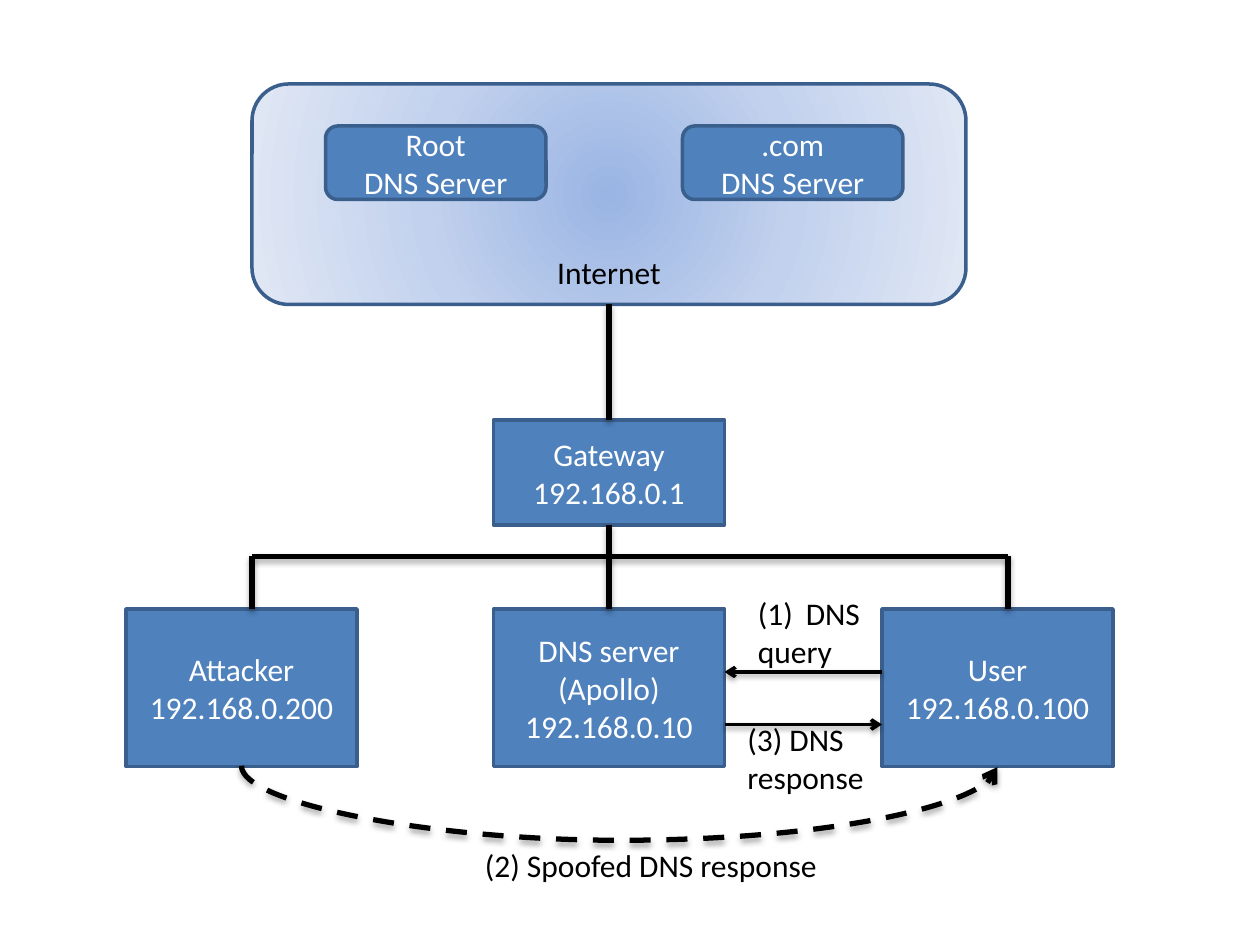
import pptx
import pptx.dml.color
import pptx.enum.dml
import pptx.enum.shapes
import pptx.enum.text
import pptx.oxml
import pptx.oxml.ns
import pptx.util
from lxml import etree

# Content: positions count cells of a 120 x 90 grid (12 cells per inch)
CELL = pptx.util.Inches(1) / 12
BLUE, EDGE, BLACK, WHITE = "4F81BD", "3A5F8C", "000000", "FFFFFF"
INTERNET = (24, 8, 68, 21)
GRADIENT = [(0, "9AB5E4"), (50, "C2D1ED"), (100, "E1E8F5")]
SERVER_ROW, SERVER_SIZE = 12, (21, 7)
SERVERS = [(31, ["Root", "DNS Server"]), (65, [".com", "DNS Server"])]
GATEWAY = (47, 40, 22, 10)
HOST_ROW, HOST_SIZE = 58, (22, 15)
HOSTS = {
    "attacker": (12, ["Attacker", "192.168.0.200"]),
    "dns": (47, ["DNS server (Apollo)", "192.168.0.10"]),
    "user": (84, ["User", "192.168.0.100"]),
}
BUS_ROW, BUS_LEFT, BUS_RIGHT, TRUNK = 53, 24, 96, 58
QUERY_ROW, RESPONSE_ROW = 64, 69
LABELS = [  # column, row, width, height, wraps, lines
    (71, 56, 12.25, 8.5, False, ["DNS", "query"]),
    (70, 68, 13.5, 8.5, False, ["(3) DNS", "response"]),
    (45, 80, 41, 4.8, True, ["(2) Spoofed DNS response"]),
]
CURVE_DROP = 0.6  # inches below the hosts

presentation = pptx.Presentation()
presentation.slide_width = pptx.util.Inches(10)
presentation.slide_height = pptx.util.Inches(7.5)
slide = presentation.slides.add_slide(presentation.slide_layouts[6])
shapes = slide.shapes
qn = pptx.oxml.ns.qn


def grid(*cells):
    return [round(cell * CELL) for cell in cells]


def color(hex_value):
    return pptx.dml.color.RGBColor.from_string(hex_value)


def xml(content):
    """Parse one drawing element, given without its namespace declaration."""
    name, rest = content[1:].split(" ", 1)
    return pptx.oxml.parse_xml(f"<{name} {pptx.oxml.ns.nsdecls('a')} {rest}")


def write(frame, lines, hex_value, centered):
    for index, line in enumerate(lines):
        paragraph = frame.paragraphs[0] if index == 0 else frame.add_paragraph()
        if centered:
            paragraph.alignment = pptx.enum.text.PP_ALIGN.CENTER
        run = paragraph.add_run()
        run.text = line
        run.font.size = pptx.util.Pt(18)
        run.font.name = "Calibri"
        run.font.color.rgb = color(hex_value)


def add_box(kind, area, lines, text_color=WHITE):
    shape = shapes.add_shape(kind, *grid(*area))
    shape.shadow.inherit = False
    shape.fill.solid()
    shape.fill.fore_color.rgb = color(BLUE)
    shape.line.color.rgb = color(EDGE)
    shape.line.width = pptx.util.Pt(2)
    shape.text_frame.word_wrap = True
    shape.text_frame.vertical_anchor = pptx.enum.text.MSO_ANCHOR.MIDDLE
    write(shape.text_frame, lines, text_color, True)
    return shape


def add_line(start, end, width=3, arrow=False, kind="STRAIGHT"):
    connector = shapes.add_connector(
        pptx.enum.shapes.MSO_CONNECTOR[kind], *grid(*start, *end))
    connector.line.color.rgb = color(BLACK)
    connector.line.width = pptx.util.Pt(width)
    properties = connector._element.spPr
    if kind == "CURVE":
        connector.line.dash_style = pptx.enum.dml.MSO_LINE.DASH
    if arrow:
        etree.SubElement(properties.find(qn("a:ln")), qn("a:tailEnd"), type="arrow")
    properties.append(xml(
        '<a:effectLst ><a:outerShdw blurRad="40000" dist="23000" dir="5400000" '
        'rotWithShape="0"><a:srgbClr val="000000"><a:alpha val="35000"/>'
        '</a:srgbClr></a:outerShdw></a:effectLst>'))
    return connector


# Internet cloud with its radial gradient
rounded = pptx.enum.shapes.MSO_SHAPE.ROUNDED_RECTANGLE
rectangle = pptx.enum.shapes.MSO_SHAPE.RECTANGLE
internet = add_box(rounded, INTERNET, ["Internet"], BLACK)
internet.text_frame.vertical_anchor = pptx.enum.text.MSO_ANCHOR.BOTTOM
internet.text_frame.margin_bottom = pptx.util.Inches(0.02)
stops = "".join(f'<a:gs pos="{position * 1000}"><a:srgbClr val="{value}"/></a:gs>'
                for position, value in GRADIENT)
internet_properties = internet._element.spPr
internet_properties.replace(internet_properties.find(qn("a:solidFill")), xml(
    f'<a:gradFill rotWithShape="1"><a:gsLst>{stops}</a:gsLst><a:path path="circle">'
    '<a:fillToRect l="50000" t="50000" r="50000" b="50000"/></a:path></a:gradFill>'))

# Servers, gateway and hosts
for column, lines in SERVERS:
    add_box(rounded, (column, SERVER_ROW, *SERVER_SIZE), lines)
gateway = add_box(rectangle, GATEWAY, ["Gateway", "192.168.0.1"])
hosts = {name: add_box(rectangle, (column, HOST_ROW, *HOST_SIZE), lines)
         for name, (column, lines) in HOSTS.items()}

# Network wiring
add_line((BUS_LEFT, BUS_ROW), (BUS_RIGHT, BUS_ROW))
for column in (BUS_LEFT, BUS_RIGHT):
    add_line((column, BUS_ROW), (column, HOST_ROW))
uplink = add_line((TRUNK, 29), (TRUNK, 40))
uplink.begin_connect(internet, 2)
uplink.end_connect(gateway, 0)
downlink = add_line((TRUNK, 50), (TRUNK, HOST_ROW))
downlink.begin_connect(gateway, 2)
downlink.end_connect(hosts["dns"], 0)

# Query and response arrows
dns_right = HOSTS["dns"][0] + HOST_SIZE[0]
user_left = HOSTS["user"][0]
add_line((user_left, QUERY_ROW), (dns_right, QUERY_ROW), 2, True)
add_line((dns_right, RESPONSE_ROW), (user_left, RESPONSE_ROW), 2, True)

# Spoofed response: a thin curved connector turned a quarter to the left
host_bottom = HOST_ROW + HOST_SIZE[1]
span = HOSTS["user"][0] - HOSTS["attacker"][0]
middle = HOSTS["attacker"][0] + (HOST_SIZE[0] + span) / 2
thickness = 0.12
spoof = add_line((middle - thickness / 2, host_bottom - span / 2),
                 (middle + thickness / 2, host_bottom + span / 2),
                 arrow=True, kind="CURVE")
transform = spoof._element.spPr.find(qn("a:xfrm"))
transform.set("rot", str(270 * 60000))
transform.set("flipH", "1")
geometry = spoof._element.spPr.find(qn("a:prstGeom"))
bend = round(CURVE_DROP * 12 / thickness * 100000)
etree.SubElement(geometry.find(qn("a:avLst")), qn("a:guide").replace("guide", "gd"),
                 name="adj1", fmla=f"val {bend}")

# Labels; the first one is numbered
frames = []
for column, row, width, height, wraps, lines in LABELS:
    frame = shapes.add_textbox(*grid(column, row, width, height)).text_frame
    frame.word_wrap = wraps
    frame.auto_size = pptx.enum.text.MSO_AUTO_SIZE.SHAPE_TO_FIT_TEXT
    write(frame, lines, BLACK, False)
    frames.append(frame)
numbered = frames[0].paragraphs[0]._p.get_or_add_pPr()
indent = pptx.util.Inches(0.38)
numbered.set("marL", str(indent))
numbered.set("indent", str(-indent))
etree.SubElement(numbered, qn("a:buAutoNum"), type="arabicParenBoth")

presentation.save("out.pptx")
